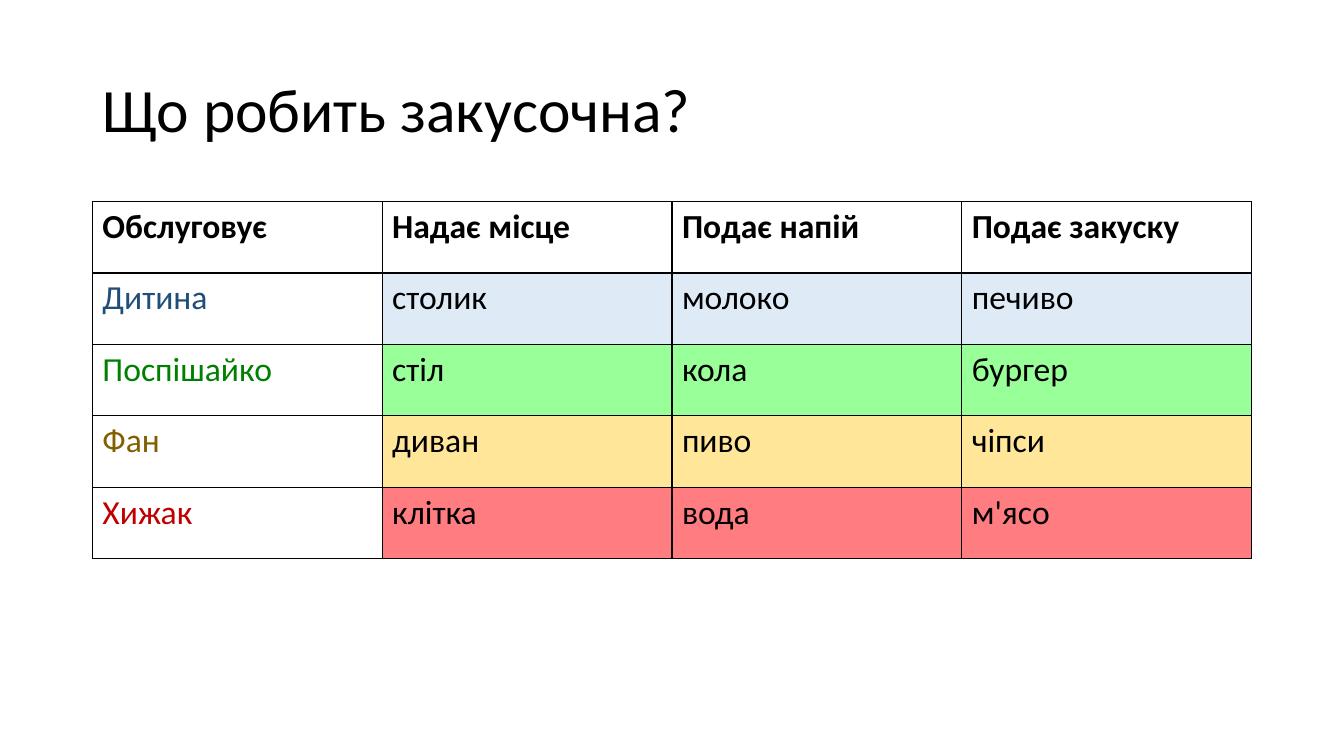
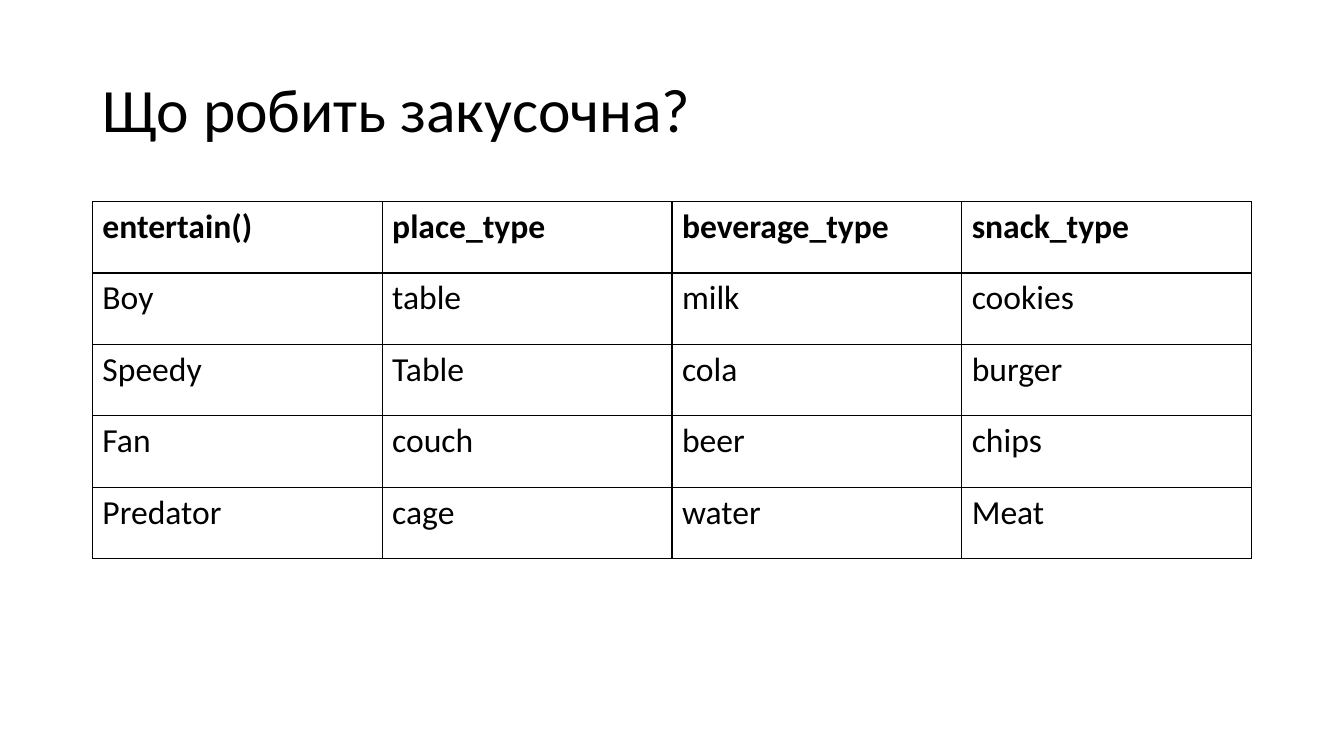
"""Builds two slides with tables of what a snack bar offers each guest."""
from dataclasses import dataclass

from lxml.etree import SubElement
from pptx import Presentation
from pptx.dml.color import RGBColor
from pptx.enum.text import MSO_ANCHOR
from pptx.oxml.ns import qn
from pptx.slide import Slide
from pptx.table import _Cell
from pptx.text.text import _Paragraph
from pptx.util import Emu, Pt

PX = 9525
FONT = "Calibri"
COLORS = {
    "black": "000000",
    "child": "1F4E79",
    "child_fill": "DEEBF7",
    "speedy": "008000",
    "speedy_fill": "99FF99",
    "fan": "806000",
    "fan_fill": "FFE699",
    "predator": "C00000",
    "predator_fill": "FF7C80",
}
TITLE = "Що робить закусочна?"
LEFT, WIDTH = 88, 1104
TITLE_TOP, TITLE_HEIGHT = 38, 139
TABLE_TOP, ROW_HEIGHT = 192, 68


@dataclass(frozen=True)
class GuestRow:
    guest: str
    offers: tuple[str, ...]
    guest_color: str = "black"
    offer_fill: str | None = None


@dataclass(frozen=True)
class OfferTable:
    headers: tuple[str, ...]
    rows: tuple[GuestRow, ...]


TABLES = (
    OfferTable(
        ("Обслуговує", "Надає місце", "Подає напій", "Подає закуску"),
        (
            GuestRow("Дитина", ("столик", "молоко", "печиво"), "child", "child_fill"),
            GuestRow("Поспішайко", ("стіл", "кола", "бургер"), "speedy", "speedy_fill"),
            GuestRow("Фан", ("диван", "пиво", "чіпси"), "fan", "fan_fill"),
            GuestRow("Хижак", ("клітка", "вода", "м'ясо"), "predator", "predator_fill"),
        ),
    ),
    OfferTable(
        ("entertain()", "place_type", "beverage_type", "snack_type"),
        (
            GuestRow("Boy", ("table", "milk", "cookies")),
            GuestRow("Speedy", ("Table", "cola", "burger")),
            GuestRow("Fan", ("couch", "beer", "chips")),
            GuestRow("Predator", ("cage", "water", "Meat")),
        ),
    ),
)


def px(length: int) -> Emu:
    return Emu(length * PX)


def rgb(name: str) -> RGBColor:
    return RGBColor.from_string(COLORS[name])


def write(paragraph: _Paragraph, text: str, size: int, color: str = "black", bold: bool = False) -> None:
    paragraph.text = text
    font = paragraph.font
    font.name, font.size, font.bold = FONT, Pt(size), bold
    font.color.rgb = rgb(color)


def add_title(slide: Slide) -> None:
    box = slide.shapes.add_textbox(px(LEFT), px(TITLE_TOP), px(WIDTH), px(TITLE_HEIGHT))
    frame = box.text_frame
    frame.word_wrap = True
    frame.vertical_anchor = MSO_ANCHOR.MIDDLE
    paragraph = frame.paragraphs[0]
    paragraph.line_spacing = 0.9
    write(paragraph, TITLE, 44)


def add_borders(cell: _Cell) -> None:
    properties = cell._tc.get_or_add_tcPr()
    for side in ("a:lnL", "a:lnR", "a:lnT", "a:lnB"):
        line = SubElement(properties, qn(side), w=str(Pt(1)))
        fill = SubElement(line, qn("a:solidFill"))
        SubElement(fill, qn("a:srgbClr"), val=COLORS["black"])


def fill_cell(
    cell: _Cell, text: str, color: str = "black", fill: str | None = None, header: bool = False
) -> None:
    add_borders(cell)
    if fill is None:
        cell.fill.background()
    else:
        cell.fill.solid()
        cell.fill.fore_color.rgb = rgb(fill)
    paragraph = cell.text_frame.paragraphs[0]
    write(paragraph, text, 24, color, header)
    if not header:
        paragraph.space_before = paragraph.space_after = Pt(18)


def add_offer_table(slide: Slide, offer_table: OfferTable) -> None:
    row_count, column_count = len(offer_table.rows) + 1, len(offer_table.headers)
    table = slide.shapes.add_table(
        row_count, column_count, px(LEFT), px(TABLE_TOP), px(WIDTH), px(ROW_HEIGHT * row_count)
    ).table
    table.first_row = table.horz_banding = False
    for column, header in enumerate(offer_table.headers):
        fill_cell(table.cell(0, column), header, header=True)
    for row_index, row in enumerate(offer_table.rows, start=1):
        fill_cell(table.cell(row_index, 0), row.guest, row.guest_color)
        for column, offer in enumerate(row.offers, start=1):
            fill_cell(table.cell(row_index, column), offer, fill=row.offer_fill)


def main() -> None:
    presentation = Presentation()
    presentation.slide_width, presentation.slide_height = px(1280), px(720)
    for offer_table in TABLES:
        slide = presentation.slides.add_slide(presentation.slide_layouts[6])
        add_title(slide)
        add_offer_table(slide, offer_table)
    presentation.save("out.pptx")


if __name__ == "__main__":
    main()
